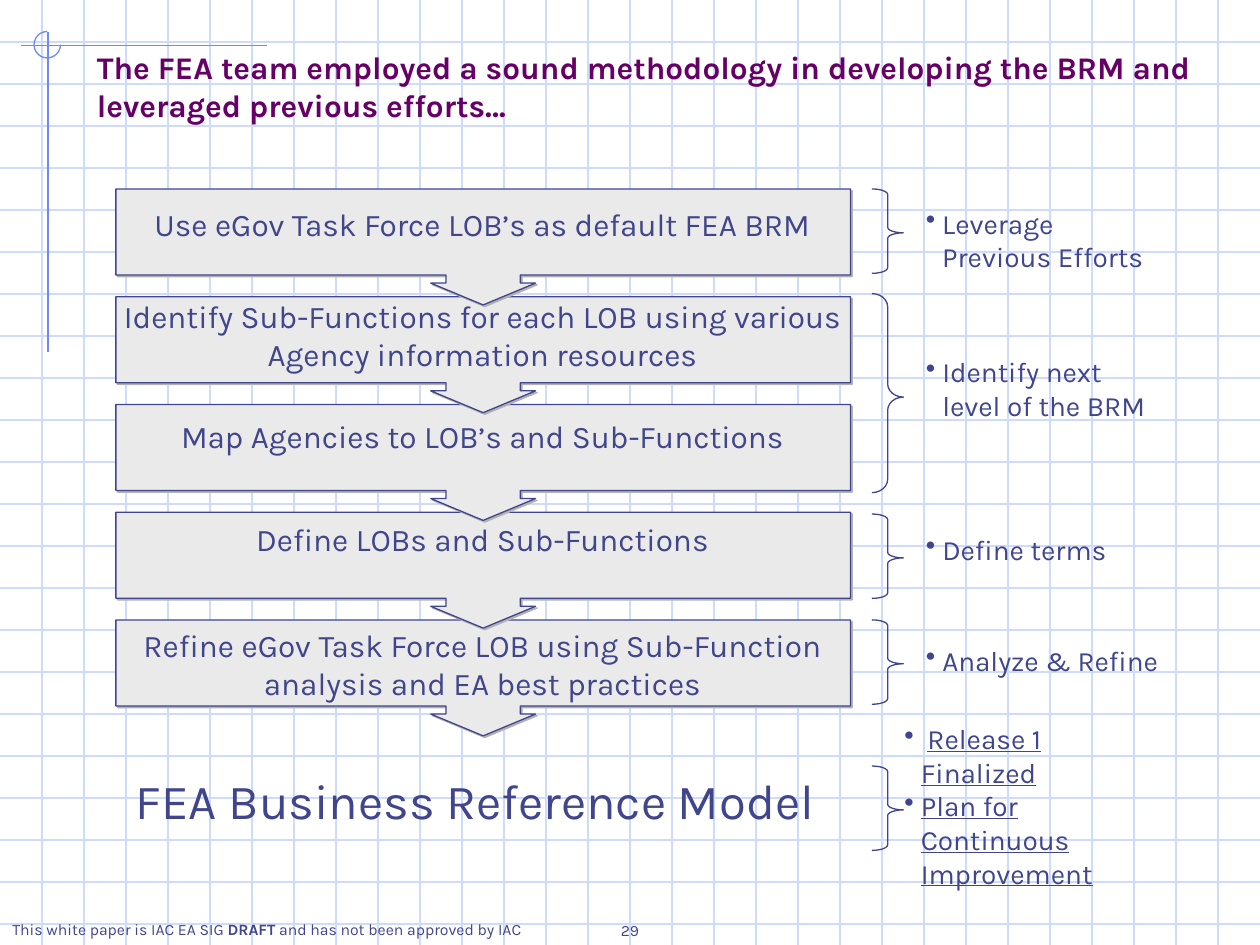
from lxml import etree
from pptx import Presentation
from pptx import util as u
from pptx.dml.color import RGBColor
from pptx.enum import shapes, text
from pptx.oxml import ns

COLORS = {
    "grid": "CFDBFD",
    "accent": "6F89F7",
    "ink": "40458C",
    "title": "660066",
    "box": "EAEAEA",
    "shadow": "B2B2B2",
}
FONT = "Karla"
THIN = u.Pt(0.75)
TOP, BOTTOM = text.MSO_ANCHOR.TOP, text.MSO_ANCHOR.BOTTOM
LEFT, CENTER = text.PP_ALIGN.LEFT, text.PP_ALIGN.CENTER


def rgb(name):
    return RGBColor.from_string(COLORS[name])


def add_xml(parent, tag, **attrs):
    return etree.SubElement(parent, ns.qn(tag), attrs)


class SlideBuilder:
    def __init__(self, slide):
        self.s = slide

    def line(self, x1, y1, x2, y2, color):
        c = self.s.shapes.add_connector(
            shapes.MSO_CONNECTOR.STRAIGHT, *map(u.Inches, (x1, y1, x2, y2)))
        c.line.color.rgb = rgb(color)
        c.line.width = THIN
        add_xml(c._element.spPr, "a:effectLst")

    def shape(self, kind, box, adjustments, line, fill=None):
        sp = self.s.shapes.add_shape(kind, *map(u.Inches, box))
        for i, value in enumerate(adjustments):
            sp.adjustments[i] = value
        if fill:
            sp.fill.solid()
            sp.fill.fore_color.rgb = rgb(fill)
        else:
            sp.fill.background()
        sp.line.color.rgb = rgb(line)
        sp.line.width = THIN
        sp.shadow.inherit = False
        return sp

    def callout(self, top):
        sp = self.shape(shapes.MSO_SHAPE.DOWN_ARROW_CALLOUT,
                        (0.92, top, 5.83, 0.92),
                        (0.642, 0.452, 0.188, 0.742), "ink", "box")
        effects = sp._element.spPr.find(ns.qn("a:effectLst"))
        shadow = add_xml(effects, "a:outerShdw", dist="17780", dir="2700000",
                         algn="ctr", rotWithShape="0")
        add_xml(shadow, "a:srgbClr", val=COLORS["shadow"])

    def brace(self, top, height):
        width = 0.25
        self.shape(shapes.MSO_SHAPE.RIGHT_BRACE, (6.92, top, width, height),
                   (height / 15 / width, 0.52), "ink")

    def text(self, box, paragraphs, size, color="ink", bold=None, align=LEFT,
             anchor=BOTTOM, wrap=True, bullet=False):
        """Each paragraph is a list of (text, run font settings)."""
        tf = self.s.shapes.add_textbox(*map(u.Inches, box)).text_frame
        tf.word_wrap = wrap
        tf.vertical_anchor = anchor
        for i, runs in enumerate(paragraphs):
            p = tf.add_paragraph() if i else tf.paragraphs[0]
            p.alignment = align
            if bullet:
                self.bullet(p)
            p.font.name = FONT
            p.font.size = u.Pt(size)
            p.font.color.rgb = rgb(color)
            p.font.bold = bold
            for words, settings in runs:
                r = p.add_run()
                r.text = words
                for key, value in settings.items():
                    setattr(r.font, key, value)

    def bullet(self, p):
        pPr = p._p.get_or_add_pPr()
        indent = u.Inches(0.13)
        pPr.set("marL", str(indent))
        pPr.set("indent", str(-indent))
        add_xml(add_xml(pPr, "a:buClr"), "a:srgbClr", val=COLORS["ink"])
        add_xml(pPr, "a:buChar", char="•")


def plain(words):
    return [[(words, {})]]


def main():
    prs = Presentation()
    prs.slide_width, prs.slide_height = u.Inches(10), u.Inches(7.5)
    b = SlideBuilder(prs.slides.add_slide(prs.slide_layouts[6]))

    # Background grid, three lines to the inch
    for i in range(1, 23):
        b.line(0, i / 3, 10, i / 3, "grid")
    for i in range(1, 30):
        b.line(i / 3, 0, i / 3, 7.5, "grid")

    # Corner ornament
    b.line(2.12, 0.36, 0.17, 0.36, "accent")
    b.line(0.38, 0.25, 0.38, 2.79, "accent")
    b.shape(shapes.MSO_SHAPE.ARC, (0.27, 0.25, 0.21, 0.21), (0, 162), "accent")

    # Title
    b.text((0.67, 0.33, 9, 1.25), plain(
        "The FEA team employed a sound methodology in developing the BRM and "
        "leveraged previous efforts…"), 18, "title", bold=True, anchor=TOP)

    # Process steps, drawn upwards so each arrow overlaps the next box
    for i in reversed(range(5)):
        b.callout(1.5 + 0.855 * i)
    steps = [
        (1.58, 0.4, "Use eGov Task Force LOB’s as default FEA BRM"),
        (2.31, 0.7, "Identify Sub-Functions for each LOB using various "
                    "Agency information resources"),
        (3.26, 0.4, "Map Agencies to LOB’s and Sub-Functions"),
        (4.08, 0.4, "Define LOBs and Sub-Functions"),
        (4.92, 0.7, "Refine eGov Task Force LOB using Sub-Function analysis "
                    "and EA best practices"),
    ]
    for top, height, words in steps:
        b.text((0.83, top, 6, height), plain(words), 18, align=CENTER)
    b.text((0.98, 6.06, 5.76, 0.57), plain("FEA Business Reference Model"),
           28, wrap=False)

    # Braces with their outcomes
    under = {"underline": True}
    release = [[(" ", {}), ("Release 1 Finalized", under)],
               [("Plan for Continuous Improvement", under)]]
    outcomes = [
        (1.5, 0.67, (7.25, 1.58, 2, 0.64), plain("Leverage Previous Efforts")),
        (2.33, 1.58, (7.25, 2.76, 2.08, 0.64),
         plain("Identify next level of the BRM")),
        (4.08, 0.67, (7.25, 4.17, 2.08, 0.37), plain("Define terms")),
        (4.92, 0.67, (7.25, 5.05, 2.08, 0.37), plain("Analyze & Refine")),
        (6.08, 0.67, (7.08, 5.67, 2.08, 1.44), release),
    ]
    for top, height, box, paragraphs in outcomes:
        b.brace(top, height)
        b.text(box, paragraphs, 16, bullet=True)

    # Footer and page number
    b.text((0, 7.25, 4.33, 0.4), [[
        ("This white paper is IAC EA SIG", {}),
        (" DRAFT", {"bold": True}),
        (" and has not been approved by IAC", {}),
    ]], 9, anchor=TOP)
    b.text((4.46, 7.01, 1.08, 0.5), plain("29"), 9, align=CENTER)

    prs.save("out.pptx")


if __name__ == "__main__":
    main()
